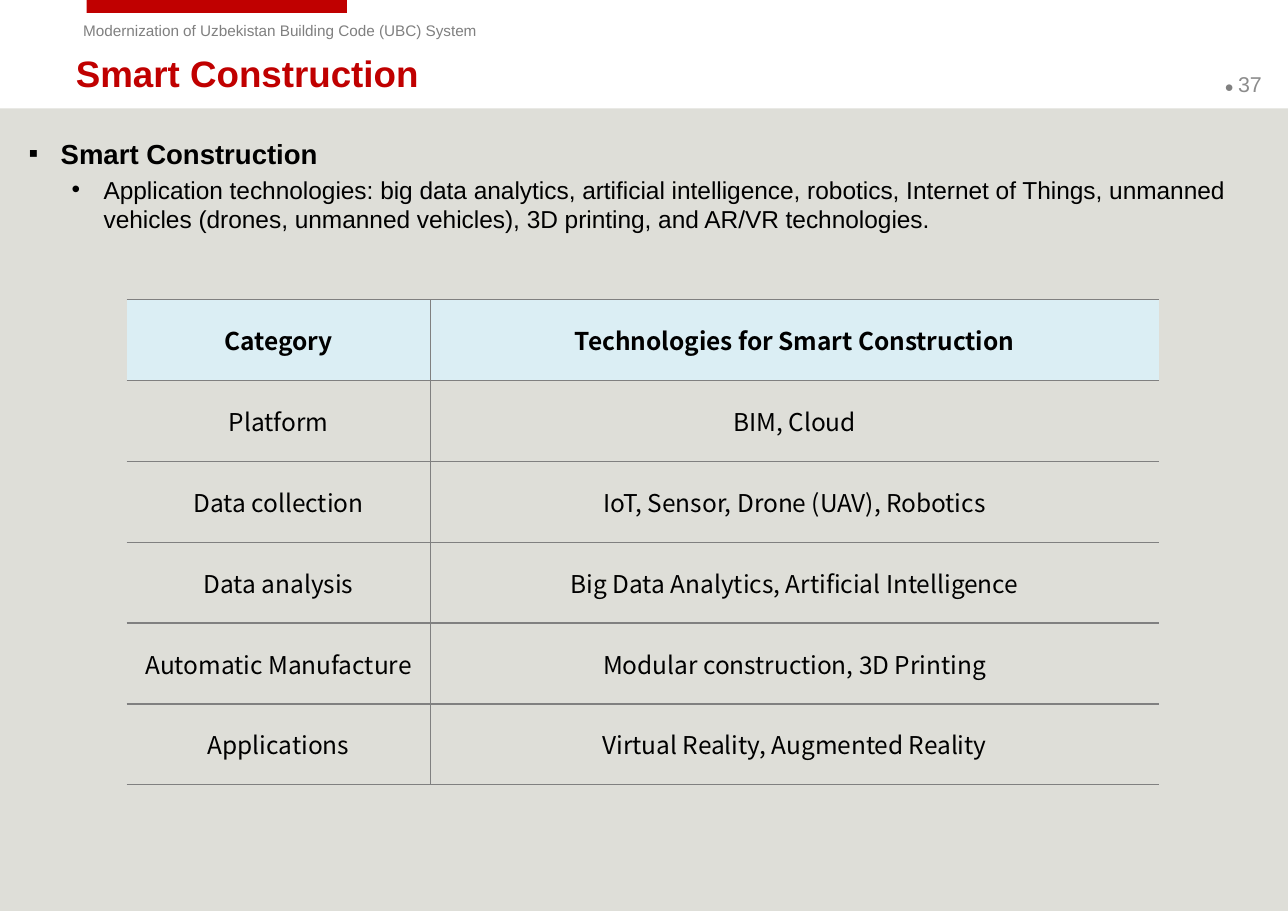
"""Build the Smart Construction slide with its technology table."""
import pptx
import pptx.dml.color
import pptx.enum.shapes
import pptx.enum.text
import pptx.oxml
import pptx.oxml.ns
import pptx.util
from dataclasses import dataclass

Cm = pptx.util.Cm
Pt = pptx.util.Pt
ALIGN = pptx.enum.text.PP_ALIGN
ANCHOR = pptx.enum.text.MSO_ANCHOR

HEADER = "Modernization of Uzbekistan Building Code (UBC) System"
TITLE = "Smart Construction"
PAGE = "37"
POINT = "Smart Construction"
DETAIL = (
    "Application technologies: big data analytics, artificial intelligence, "
    "robotics, Internet of Things, unmanned vehicles (drones, unmanned "
    "vehicles), 3D printing, and AR/VR technologies."
)
ROWS = [
    ("Category", "Technologies for Smart Construction"),
    ("Platform", "BIM, Cloud"),
    ("Data collection", "IoT, Sensor, Drone (UAV), Robotics"),
    ("Data analysis", "Big Data Analytics, Artificial Intelligence"),
    ("Automatic Manufacture", "Modular construction, 3D Printing"),
    ("Applications", "Virtual Reality, Augmented Reality"),
]


@dataclass(frozen=True)
class Theme:
    """Hold the colours, fonts and type sizes."""
    red: str = "C00000"
    panel: str = "DEDED8"
    head: str = "DBEEF4"
    gray: str = "808080"
    pale: str = "8C8C8C"
    black: str = "000000"
    font: str = "Arial"
    grid: str = "Noto Sans CJK KR"
    title: int = 24
    point: int = 18
    text: int = 16
    page: int = 14
    small: int = 10


THEME = Theme()
WIDTH, HEIGHT = 29.7, 21
PANEL_TOP = 2.5
TABLE = (2.92, 6.91, 23.8, 11.18)
COLS = (7.01, 16.79)


def color(code):
    """Turn a hex code into a colour."""
    return pptx.dml.color.RGBColor.from_string(code)


def write(par, text, size=THEME.text, ink=THEME.black, font=THEME.font,
          bold=False, align=ALIGN.LEFT, bullet=None, left=0, hang=0, before=0):
    """Add a run of text to a paragraph in the given format."""
    if bullet:
        props = par._p.get_or_add_pPr()
        props.set("marL", str(Cm(left)))
        props.set("indent", str(-Cm(hang)))
        space = pptx.oxml.ns.nsdecls("a")
        props.append(pptx.oxml.parse_xml(f'<a:buFont {space} typeface="{THEME.font}"/>'))
        props.append(pptx.oxml.parse_xml(f'<a:buChar {space} char="{bullet}"/>'))
    par.alignment = align
    if before:
        par.space_before = Pt(before)
    run = par.add_run()
    run.text = text
    run.font.size = Pt(size)
    run.font.name = font
    run.font.bold = bold
    run.font.color.rgb = color(ink)


def frame(slide, place, pad=(0.28, 0.15), anchor=ANCHOR.TOP, wrap=True):
    """Add a text box and return its frame."""
    body = slide.shapes.add_textbox(*map(Cm, place)).text_frame
    body.word_wrap = wrap
    body.vertical_anchor = anchor
    body.margin_left = body.margin_right = Cm(pad[0])
    body.margin_top = body.margin_bottom = Cm(pad[1])
    return body


def block(slide, place, fill):
    """Add a plain filled rectangle."""
    kind = pptx.enum.shapes.MSO_SHAPE.RECTANGLE
    shape = slide.shapes.add_shape(kind, *map(Cm, place))
    shape.shadow.inherit = False
    shape.fill.solid()
    shape.fill.fore_color.rgb = color(fill)
    shape.line.fill.background()


def border(cell, sides):
    """Draw the named sides of a cell and clear the others."""
    props = cell._tc.get_or_add_tcPr()
    space = pptx.oxml.ns.nsdecls("a")
    solid = f'<a:solidFill><a:srgbClr val="{THEME.gray}"/></a:solidFill>'
    for side in "LRTB":
        paint = solid if side in sides else "<a:noFill/>"
        props.append(pptx.oxml.parse_xml(
            f'<a:ln{side} {space} w="{Pt(1)}">{paint}</a:ln{side}>'))


def grid(slide):
    """Add the technology table."""
    shape = slide.shapes.add_table(len(ROWS), len(COLS), *map(Cm, TABLE))
    table = shape.table
    table.first_row = table.horz_banding = False
    for col, width in zip(table.columns, COLS):
        col.width = Cm(width)
    for r, row in enumerate(ROWS):
        table.rows[r].height = Cm(TABLE[3] / len(ROWS))
        for c, text in enumerate(row):
            cell = table.cell(r, c)
            border(cell, "TBL" if c else "TBR")
            if r:
                cell.fill.background()
            else:
                cell.fill.solid()
                cell.fill.fore_color.rgb = color(THEME.head)
            cell.vertical_anchor = ANCHOR.MIDDLE
            cell.margin_left = cell.margin_right = Cm(0.13)
            cell.margin_top = cell.margin_bottom = Cm(0.13)
            write(cell.text_frame.paragraphs[0], text, font=THEME.grid,
                  bold=r == 0, align=ALIGN.CENTER)


def main():
    """Lay out the slide and save it."""
    deck = pptx.Presentation()
    deck.slide_width, deck.slide_height = Cm(WIDTH), Cm(HEIGHT)
    slide = deck.slides.add_slide(deck.slide_layouts[6])

    block(slide, (0, PANEL_TOP, WIDTH, HEIGHT - PANEL_TOP), THEME.panel)
    block(slide, (2, 0, 6, 0.3), THEME.red)

    head = frame(slide, (1.67, 0.36, 11.9, 0.68), pad=(0.25, 0.13))
    write(head.paragraphs[0], HEADER, size=THEME.small, ink=THEME.gray)

    page = frame(slide, (27.96, 1.38, 1.74, 1.12), anchor=ANCHOR.MIDDLE, wrap=False)
    write(page.paragraphs[0], "● ", size=THEME.small, ink=THEME.gray)
    write(page.paragraphs[0], PAGE, size=THEME.page, ink=THEME.pale)

    body = frame(slide, (0.38, 3, 28.9, 17.45))
    write(body.paragraphs[0], POINT, size=THEME.point, bold=True,
          bullet="▪", left=0.74, hang=0.74)
    write(body.add_paragraph(), DETAIL, bullet="•", left=1.73, hang=0.74, before=3.2)

    title = frame(slide, (1.47, 1.18, 26.46, 1.02), anchor=ANCHOR.MIDDLE)
    write(title.paragraphs[0], TITLE, size=THEME.title, ink=THEME.red, bold=True)

    grid(slide)
    deck.save("out.pptx")


if __name__ == "__main__":
    main()
